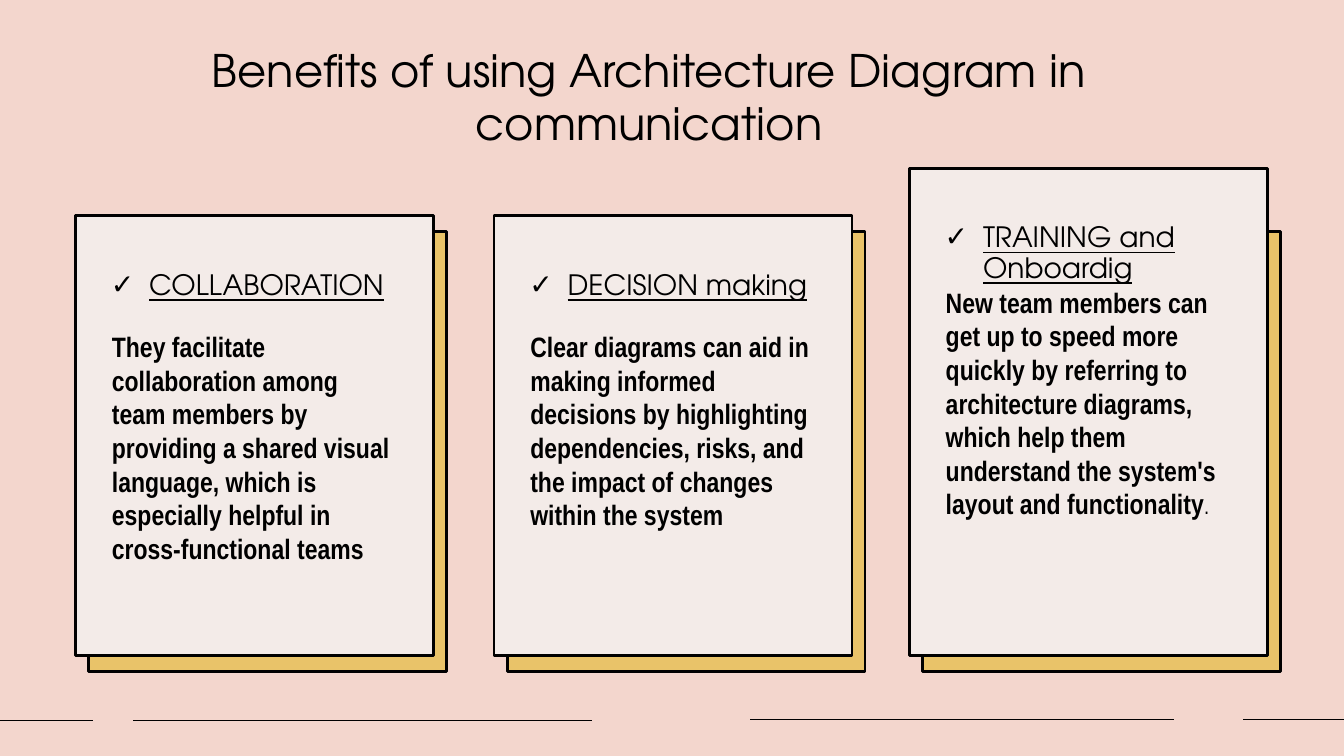
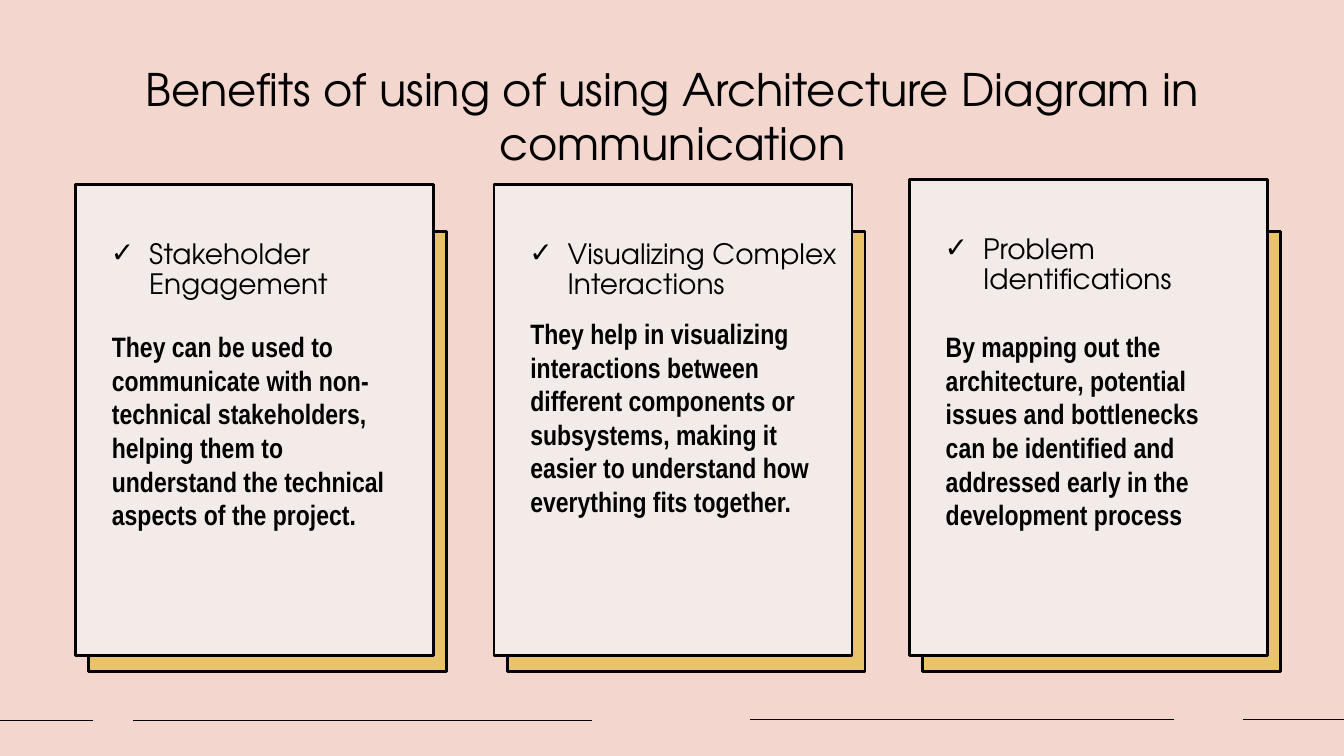
import copy
import dataclasses

import lxml.etree
import pptx
import pptx.dml.color
import pptx.enum.shapes
import pptx.enum.text
import pptx.oxml.ns
import pptx.util

Inches, Pt = pptx.util.Inches, pptx.util.Pt
qn = pptx.oxml.ns.qn
RGB = pptx.dml.color.RGBColor.from_string
ANCHOR = pptx.enum.text.MSO_ANCHOR
ALIGN = pptx.enum.text.PP_ALIGN


@dataclasses.dataclass(frozen=True)
class Theme:
    # Colours
    ink: str = "000000"
    ground: str = "F3D6CD"
    paper: str = "F3EBE8"
    gold: str = "E9C369"
    # Fonts and sizes in points
    display: str = "TeX Gyre Adventor"
    text: str = "Arial Narrow"
    title_size: int = 32
    card_size: int = 20
    small_size: int = 16
    rule: int = 1
    border: int = 2


T = Theme()

# Card grid, in inches
COLUMNS = (0.75, 4.9, 9.02)
CARD_W, CARD_BOTTOM = 3.55, 6.5
BACK_H, BACK_DX, BACK_DY = 4.36, 0.13, 0.16
BODY_DX, BODY_W, BODY_BOTTOM = 0.26, 3, 6.27
RULES = ((0, 0.92, 7.15), (1.32, 5.87, 7.15), (7.44, 11.64, 7.14), (12.33, 13.33, 7.14))

TITLE_FONT = dict(name=T.display, size=Pt(T.title_size), bold=False)
HEAD_FONT = dict(name=T.display, size=Pt(T.card_size), bold=False)
BODY_FONT = dict(name=T.text, size=Pt(T.card_size), bold=True)

# Each card: heading, heading top, body, body top, lighter ending of the body
SLIDES = [
    dict(
        title="Benefits of using Architecture Diagram in communication",
        title_at=(1.02, 0.37),
        underline=True,
        cards=[
            ("COLLABORATION", 2.14,
             "They facilitate collaboration among team members by providing a shared visual "
             "language, which is especially helpful in cross-functional teams", 3.22, ""),
            ("DECISION making", 2.14,
             "Clear diagrams can aid in making informed decisions by highlighting "
             "dependencies, risks, and the impact of changes within the system", 3.22, ""),
            ("TRAINING and Onboardig", 1.67,
             "New team members can get up to speed more quickly by referring to architecture "
             "diagrams, which help them understand the system's layout and functionality",
             2.78, "."),
        ],
    ),
    dict(
        title="Benefits of using of using Architecture Diagram in communication",
        title_at=(1.25, 0.56),
        underline=False,
        cards=[
            ("Stakeholder Engagement", 1.83,
             "They can be used to communicate with non-technical stakeholders, helping them "
             "to understand the technical aspects of the project.", 3.22, ""),
            ("Visualizing Complex Interactions", 1.83,
             "They help in visualizing interactions between different components or "
             "subsystems, making it easier to understand how everything fits together.",
             3.09, ""),
            ("Problem Identifications", 1.78,
             "By mapping out the architecture, potential issues and bottlenecks can be "
             "identified and addressed early in the development process", 3.22, ""),
        ],
    ),
]


def set_all(obj, **values):
    for name, value in values.items():
        setattr(obj, name, value)


def place(sp, left, top, width, height):
    set_all(sp, left=Inches(left), top=Inches(top),
            width=Inches(width), height=Inches(height))


def outline(sp, fill):
    sp.fill.solid()
    sp.fill.fore_color.rgb = RGB(fill)
    sp.line.color.rgb = RGB(T.ink)
    sp.line.width = Pt(T.border)


def add_run(p, text, **font):
    r = p.add_run()
    r.text = text
    set_all(r.font, **font)
    r.font.color.rgb = RGB(T.ink)


def set_bullet(p, char=None, indent=0):
    pPr = p._p.get_or_add_pPr()
    pPr.set("marL", str(Inches(indent)))
    pPr.set("indent", str(-Inches(indent)))
    bu = lxml.etree.SubElement(pPr, qn("a:buChar" if char else "a:buNone"))
    if char:
        bu.set("char", char)


def text_frame(sp, **values):
    tf = sp.text_frame
    set_all(tf, word_wrap=True, auto_size=pptx.enum.text.MSO_AUTO_SIZE.NONE,
            vertical_anchor=ANCHOR.TOP, **values)
    return tf


# Layout: one heading and one body placeholder for each column
def add_placeholders(layout):
    first = next(ph for ph in layout.placeholders if ph.placeholder_format.idx == 1)
    for n in range(1, 2 * len(COLUMNS)):
        el = copy.deepcopy(first._element)
        el.find(".//" + qn("p:ph")).set("idx", str(20 + n))
        set_all(el.nvSpPr.cNvPr, id=20 + n, name=f"Content {n + 1}")
        layout.shapes._spTree.append(el)


# Shared backdrop: footer rules and gold cards, moved to the layout
def add_backdrop(layout, slide):
    parts = []
    for x1, x2, y in RULES:
        line = slide.shapes.add_connector(pptx.enum.shapes.MSO_CONNECTOR.STRAIGHT,
                                          Inches(x1), Inches(y), Inches(x2), Inches(y))
        line.line.color.rgb = RGB(T.ink)
        line.line.width = Pt(T.rule)
        lxml.etree.SubElement(line._element.spPr, qn("a:effectLst"))
        parts.append(line)
    for left in COLUMNS:
        back = slide.shapes.add_shape(
            pptx.enum.shapes.MSO_SHAPE.RECTANGLE, Inches(left + BACK_DX),
            Inches(CARD_BOTTOM + BACK_DY - BACK_H), Inches(CARD_W), Inches(BACK_H))
        outline(back, T.gold)
        back.shadow.inherit = False
        parts.append(back)
    for n, sp in enumerate(parts):
        sp._element.find(".//" + qn("p:cNvPr")).set("id", str(40 + n))
        layout.shapes._spTree.insert(2 + n, sp._element)


def add_title(sp, text, left, top):
    place(sp, left, top, 10.84, 1.11)
    p = text_frame(sp).paragraphs[0]
    p.alignment = ALIGN.CENTER
    add_run(p, text, **TITLE_FONT)


def add_card(head, body, left, card, underline):
    heading, head_top, text, body_top, ending = card
    # Framed heading
    place(head, left, head_top, CARD_W, CARD_BOTTOM - head_top)
    outline(head, T.paper)
    tf = text_frame(head, margin_left=Inches(0.35), margin_top=Inches(0.55))
    p = tf.paragraphs[0]
    set_all(p, line_spacing=0.9, space_before=Pt(10))
    set_bullet(p, "✓", 0.38)
    add_run(p, heading, underline=underline, **HEAD_FONT)
    # Explanation
    place(body, left + BODY_DX, body_top, BODY_W, BODY_BOTTOM - body_top)
    p = text_frame(body).paragraphs[0]
    p.space_before = Pt(0)
    set_bullet(p)
    add_run(p, text, **BODY_FONT)
    if ending:
        add_run(p, ending, name=T.text, size=Pt(T.small_size), bold=False)


def add_benefits(slide, title, title_at, underline, cards):
    add_title(slide.shapes.title, title, *title_at)
    boxes = [ph for ph in slide.placeholders if ph.placeholder_format.idx]
    for head, body, left, card in zip(boxes[::2], boxes[1::2], COLUMNS, cards):
        add_card(head, body, left, card, underline)


def main():
    prs = pptx.Presentation()
    set_all(prs, slide_width=Inches(13.33), slide_height=Inches(7.5))
    ground = prs.slide_master.background.fill
    ground.solid()
    ground.fore_color.rgb = RGB(T.ground)
    layout = prs.slide_layouts[1]
    add_placeholders(layout)
    slides = [prs.slides.add_slide(layout) for _ in SLIDES]
    add_backdrop(layout, slides[0])
    for slide, content in zip(slides, SLIDES):
        add_benefits(slide, **content)
    prs.save("out.pptx")


if __name__ == "__main__":
    main()
